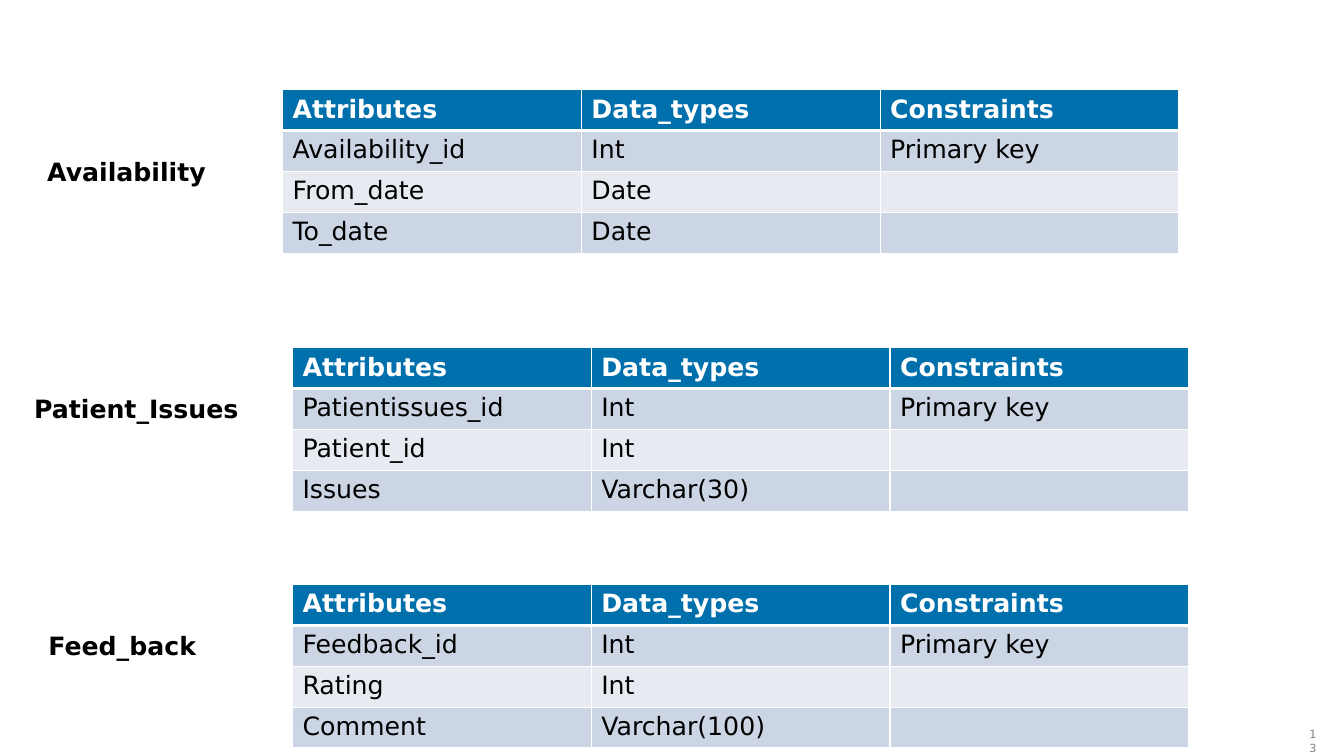
from dataclasses import dataclass

import lxml.etree
import pptx
import pptx.dml.color
import pptx.enum.text
import pptx.oxml.ns
import pptx.slide
import pptx.table
import pptx.text.text
import pptx.util

Cm = pptx.util.Cm
Color = pptx.dml.color.RGBColor


@dataclass(frozen=True)
class Theme:
    font: str = "DejaVu Sans"
    body_size: float = 18
    number_size: float = 8
    text: str = "000000"
    white: str = "FFFFFF"
    number: str = "808080"
    header_fill: str = "0070AD"
    odd_fill: str = "CCD5E3"
    even_fill: str = "E7EBF1"
    thin_line: float = 1
    thick_line: float = 3


@dataclass(frozen=True)
class Entity:
    """A named database table; positions are in centimetres."""
    name: str
    label_left: float
    label_top: float
    table_left: float
    table_top: float
    rows: tuple[tuple[str, str, str], ...]


THEME = Theme()
HEADER = ("Attributes", "Data_types", "Constraints")
COLUMN_WIDTH = 7.53
ROW_HEIGHT = 1.03
LABEL_WIDTH, LABEL_HEIGHT = 7.7, 1.02

ENTITIES = (
    Entity("Availability", 0.94, 3.81, 7.12, 2.26, (
        ("Availability_id", "Int", "Primary key"),
        ("From_date", "Date", ""),
        ("To_date", "Date", ""),
    )),
    Entity("Patient_Issues", 0.61, 9.78, 7.37, 8.76, (
        ("Patientissues_id", "Int", "Primary key"),
        ("Patient_id", "Int", ""),
        ("Issues", "Varchar(30)", ""),
    )),
    Entity("Feed_back", 0.97, 15.77, 7.37, 14.73, (
        ("Feedback_id", "Int", "Primary key"),
        ("Rating", "Int", ""),
        ("Comment", "Varchar(100)", ""),
    )),
)


def write(frame: pptx.text.text.TextFrame, text: str, size: float,
          color: str, bold: bool = False) -> pptx.text.text._Paragraph:
    frame.word_wrap = True
    paragraph = frame.paragraphs[0]
    paragraph.text = text
    font = paragraph.font
    font.name = THEME.font
    font.size = pptx.util.Pt(size)
    font.bold = bold
    font.color.rgb = Color.from_string(color)
    return paragraph


def add_border(cell: pptx.table._Cell, side: str, width: float) -> None:
    """Draw one white edge; side is L, R, T or B. Call before filling the cell."""
    qn = pptx.oxml.ns.qn
    properties = cell._tc.get_or_add_tcPr()
    line = lxml.etree.SubElement(properties, qn(f"a:ln{side}"),
                                 w=str(pptx.util.Pt(width)))
    fill = lxml.etree.SubElement(line, qn("a:solidFill"))
    lxml.etree.SubElement(fill, qn("a:srgbClr"), val=THEME.white)


def format_cell(cell: pptx.table._Cell, text: str, row: int) -> None:
    is_header = row == 0
    thick_side = {0: "B", 1: "T"}.get(row)
    for side in "LRTB":
        add_border(cell, side,
                   THEME.thick_line if side == thick_side else THEME.thin_line)
    band = THEME.odd_fill if row % 2 else THEME.even_fill
    cell.fill.solid()
    cell.fill.fore_color.rgb = Color.from_string(
        THEME.header_fill if is_header else band)
    write(cell.text_frame, text, THEME.body_size,
          THEME.white if is_header else THEME.text, bold=is_header)


def add_entity(slide: pptx.slide.Slide, entity: Entity) -> None:
    label = slide.shapes.add_textbox(
        Cm(entity.label_left), Cm(entity.label_top),
        Cm(LABEL_WIDTH), Cm(LABEL_HEIGHT))
    write(label.text_frame, entity.name, THEME.body_size, THEME.text, bold=True)

    rows = (HEADER, *entity.rows)
    table = slide.shapes.add_table(
        len(rows), len(HEADER), Cm(entity.table_left), Cm(entity.table_top),
        Cm(COLUMN_WIDTH * len(HEADER)), Cm(ROW_HEIGHT * len(rows))).table
    for column in table.columns:
        column.width = Cm(COLUMN_WIDTH)
    for row_index, values in enumerate(rows):
        table.rows[row_index].height = Cm(ROW_HEIGHT)
        for column_index, value in enumerate(values):
            format_cell(table.cell(row_index, column_index), value, row_index)


def add_page_number(slide: pptx.slide.Slide, number: str) -> None:
    box = slide.shapes.add_textbox(Cm(32.74), Cm(18.21), Cm(0.69), Cm(0.61))
    paragraph = write(box.text_frame, number, THEME.number_size, THEME.number)
    paragraph.alignment = pptx.enum.text.PP_ALIGN.RIGHT


def main() -> None:
    presentation = pptx.Presentation()
    presentation.slide_width = Cm(33.87)
    presentation.slide_height = Cm(19.05)
    blank_layout = presentation.slide_layouts.get_by_name("Blank")
    slide = presentation.slides.add_slide(blank_layout)
    add_page_number(slide, "13")
    for entity in ENTITIES:
        add_entity(slide, entity)
    presentation.save("out.pptx")


if __name__ == "__main__":
    main()
